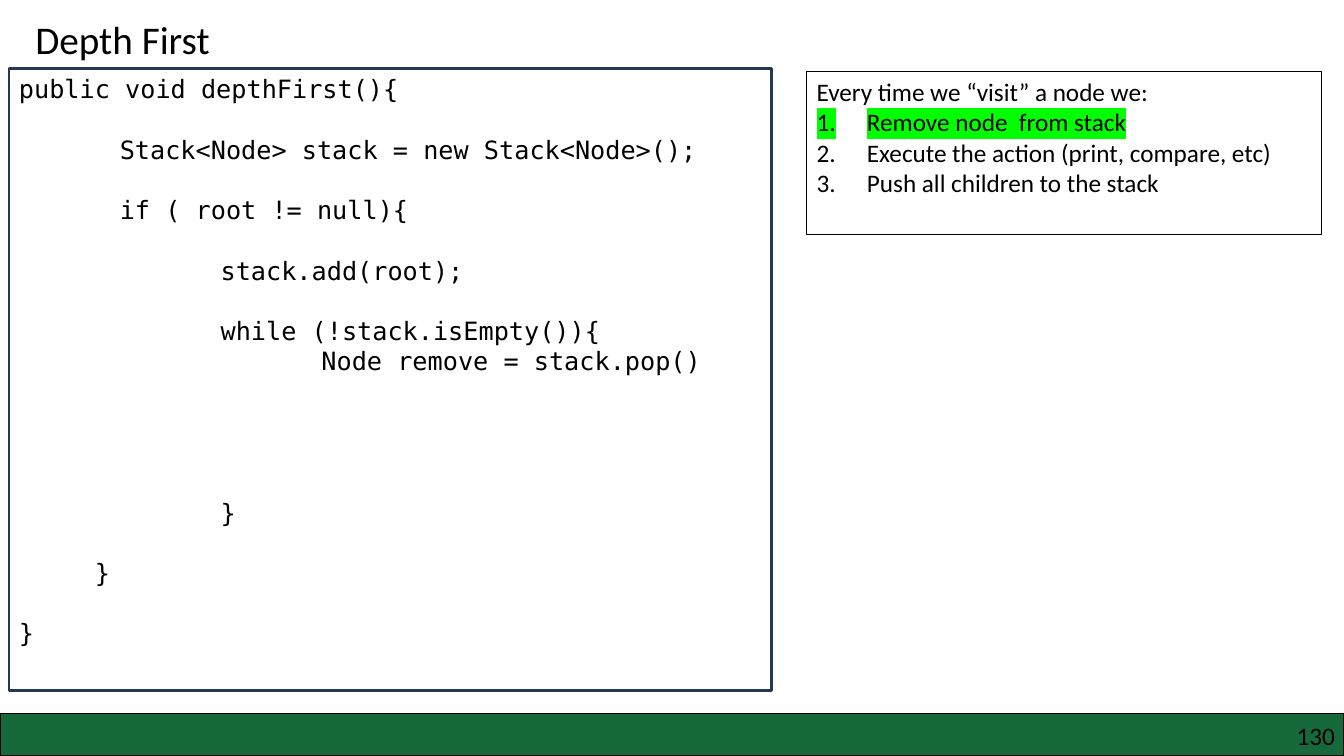
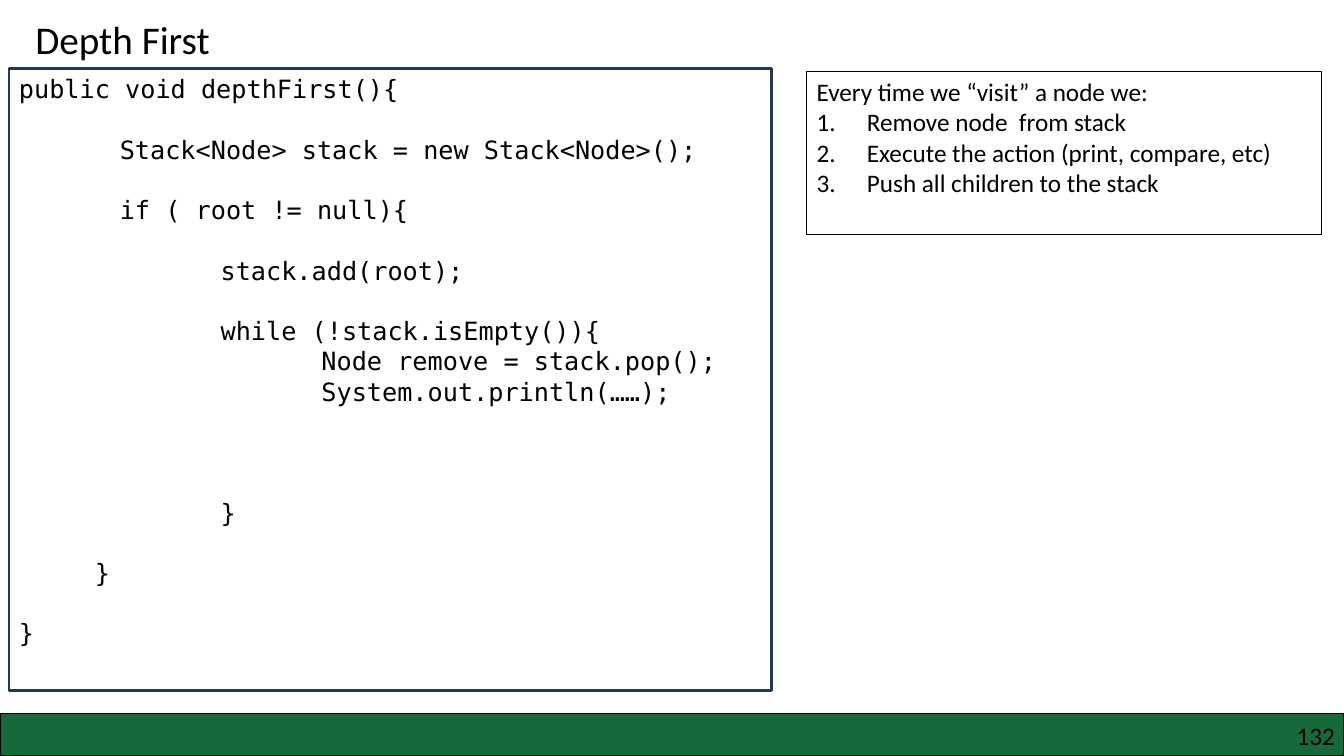
import pptx
import pptx.dml.color
import pptx.enum.shapes
import pptx.enum.text
import pptx.oxml.ns
import pptx.util
from lxml import etree

Inches = pptx.util.Inches
Pt = pptx.util.Pt
ALIGN = pptx.enum.text.PP_ALIGN

BLACK = "000000"
BAND_GREEN = "15693B"
CODE_BORDER = "233953"
HIGHLIGHT_GREEN = "00FF00"
BODY_FONT = "Calibri"
CODE_FONT = "DejaVu Sans Mono"
CODE_PITCH = 21.6
CODE_TABS = [1, 2, 3]

TITLE = "Depth First"
STEPS_HEADING = "Every time we “visit” a node we:"
STEPS = [
    "Remove node  from stack",
    "Execute the action (print, compare, etc)",
    "Push all children to the stack",
]
CODE_START = """public void depthFirst(){

\tStack<Node> stack = new Stack<Node>();

\tif ( root != null){

\t\tstack.add(root);

\t\twhile (!stack.isEmpty()){""".split("\n")
CODE_END = """\t\t}

     }

}""".split("\n")
LOOP_LINES = 5
SLIDES = [
    ("130", ["\t\t\tNode remove = stack.pop()"], 0),
    ("132", ["\t\t\tNode remove = stack.pop();", "\t\t\tSystem.out.println(……);"], None),
]


def rgb(color):
    return pptx.dml.color.RGBColor.from_string(color)


def style_paragraph(paragraph, size=18, font=BODY_FONT, align=ALIGN.LEFT):
    paragraph.alignment = align
    paragraph.font.size = Pt(size)
    paragraph.font.name = font
    paragraph.font.color.rgb = rgb(BLACK)


def add_paragraph(frame, text):
    paragraph = frame.paragraphs[0]
    if paragraph.runs:
        paragraph = frame.add_paragraph()
    paragraph.add_run().text = text
    return paragraph


def add_rectangle(slide, left, top, width, height, line, line_width, fill=None):
    shape = slide.shapes.add_shape(
        pptx.enum.shapes.MSO_SHAPE.RECTANGLE,
        Inches(left), Inches(top), Inches(width), Inches(height))
    shape.shadow.inherit = False
    if fill:
        shape.fill.solid()
        shape.fill.fore_color.rgb = rgb(fill)
    else:
        shape.fill.background()
    shape.line.color.rgb = rgb(line)
    shape.line.width = Pt(line_width)
    shape.text_frame.vertical_anchor = pptx.enum.text.MSO_ANCHOR.TOP
    return shape


def add_footer(slide, number):
    add_rectangle(slide, 0, 7.08, 13.33, 0.42, BLACK, 1, BAND_GREEN)
    box = slide.shapes.add_textbox(Inches(10.17), Inches(7.15), Inches(3.07), Inches(0.3))
    frame = box.text_frame
    frame.word_wrap = True
    frame.margin_left = frame.margin_right = frame.margin_top = frame.margin_bottom = 0
    style_paragraph(add_paragraph(frame, number), align=ALIGN.RIGHT)


def format_title(slide):
    title = slide.shapes.title
    title.left, title.top = Inches(0.25), Inches(0.1)
    title.width, title.height = Inches(2.13), Inches(0.57)
    frame = title.text_frame
    frame.word_wrap = False
    frame.vertical_anchor = pptx.enum.text.MSO_ANCHOR.TOP
    style_paragraph(add_paragraph(frame, TITLE), size=28)


def set_tabs(paragraph, positions):
    properties = paragraph._p.get_or_add_pPr()
    tabs = etree.SubElement(properties, pptx.oxml.ns.qn("a:tabLst"))
    for position in positions:
        etree.SubElement(tabs, pptx.oxml.ns.qn("a:tab"), pos=str(Inches(position)), algn="l")


def add_code(slide, lines):
    frame = add_rectangle(slide, 0.09, 0.68, 7.56, 6.17, CODE_BORDER, 2).text_frame
    frame.word_wrap = True
    gap = 0
    for line in lines:
        if not line:
            gap += 1
            continue
        paragraph = add_paragraph(frame, line)
        paragraph.line_spacing = Pt(CODE_PITCH)
        if gap:
            paragraph.space_before = Pt(gap * CODE_PITCH)
        set_tabs(paragraph, CODE_TABS)
        style_paragraph(paragraph, font=CODE_FONT)
        gap = 0


def number_paragraph(paragraph):
    properties = paragraph._p.get_or_add_pPr()
    properties.set("marL", str(Inches(0.5)))
    properties.set("indent", str(-Inches(0.5)))
    etree.SubElement(properties, pptx.oxml.ns.qn("a:buAutoNum"), type="arabicPeriod")


def highlight(run, color):
    properties = run._r.get_or_add_rPr()
    mark = etree.SubElement(properties, pptx.oxml.ns.qn("a:highlight"))
    etree.SubElement(mark, pptx.oxml.ns.qn("a:srgbClr"), val=color)


def add_steps(slide, current):
    frame = add_rectangle(slide, 8, 0.71, 5.11, 1.62, BLACK, 0.75).text_frame
    frame.word_wrap = True
    style_paragraph(add_paragraph(frame, STEPS_HEADING))
    for index, step in enumerate(STEPS):
        paragraph = add_paragraph(frame, step)
        number_paragraph(paragraph)
        style_paragraph(paragraph)
        if index == current:
            highlight(paragraph.runs[0], HIGHLIGHT_GREEN)


def main():
    presentation = pptx.Presentation()
    presentation.slide_width = Inches(13.33)
    presentation.slide_height = Inches(7.5)
    for number, loop_body, current in SLIDES:
        slide = presentation.slides.add_slide(presentation.slide_layouts[5])
        add_footer(slide, number)
        format_title(slide)
        padding = [""] * (LOOP_LINES - len(loop_body))
        add_code(slide, CODE_START + loop_body + padding + CODE_END)
        add_steps(slide, current)
    presentation.save("out.pptx")


if __name__ == "__main__":
    main()
